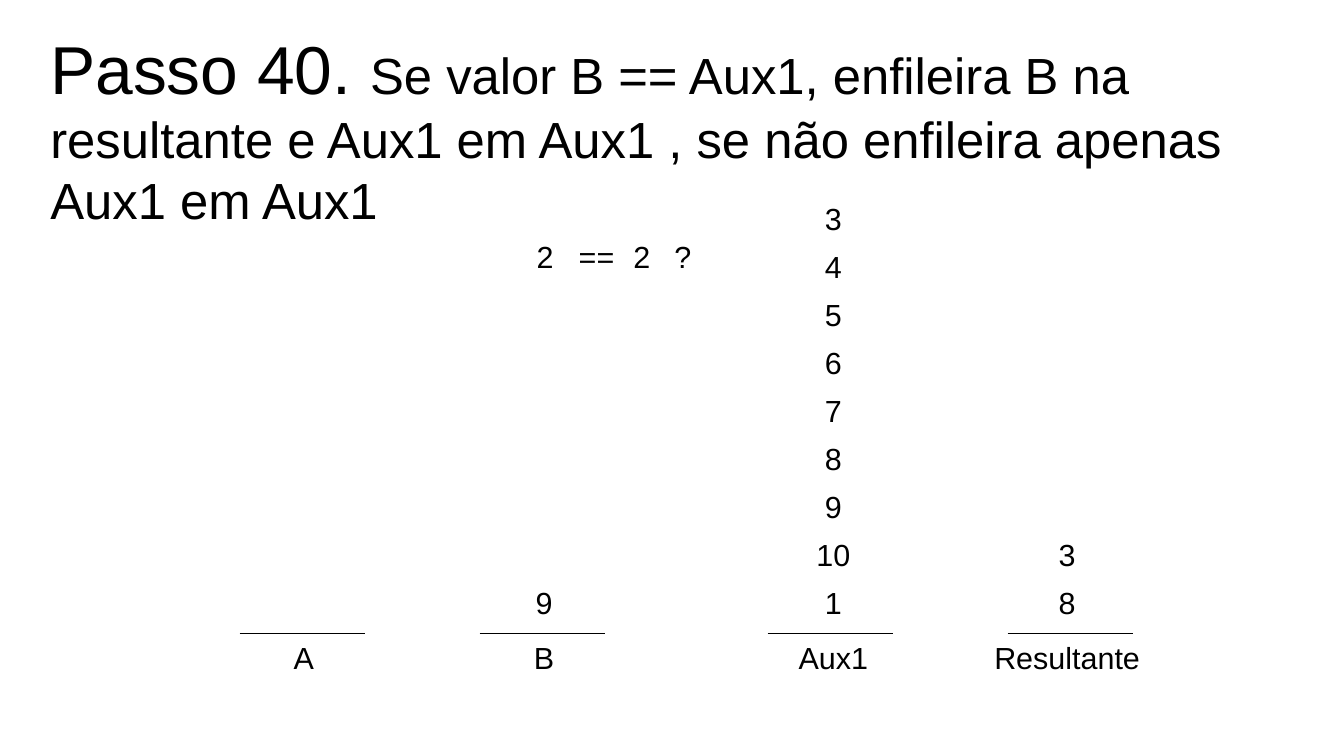
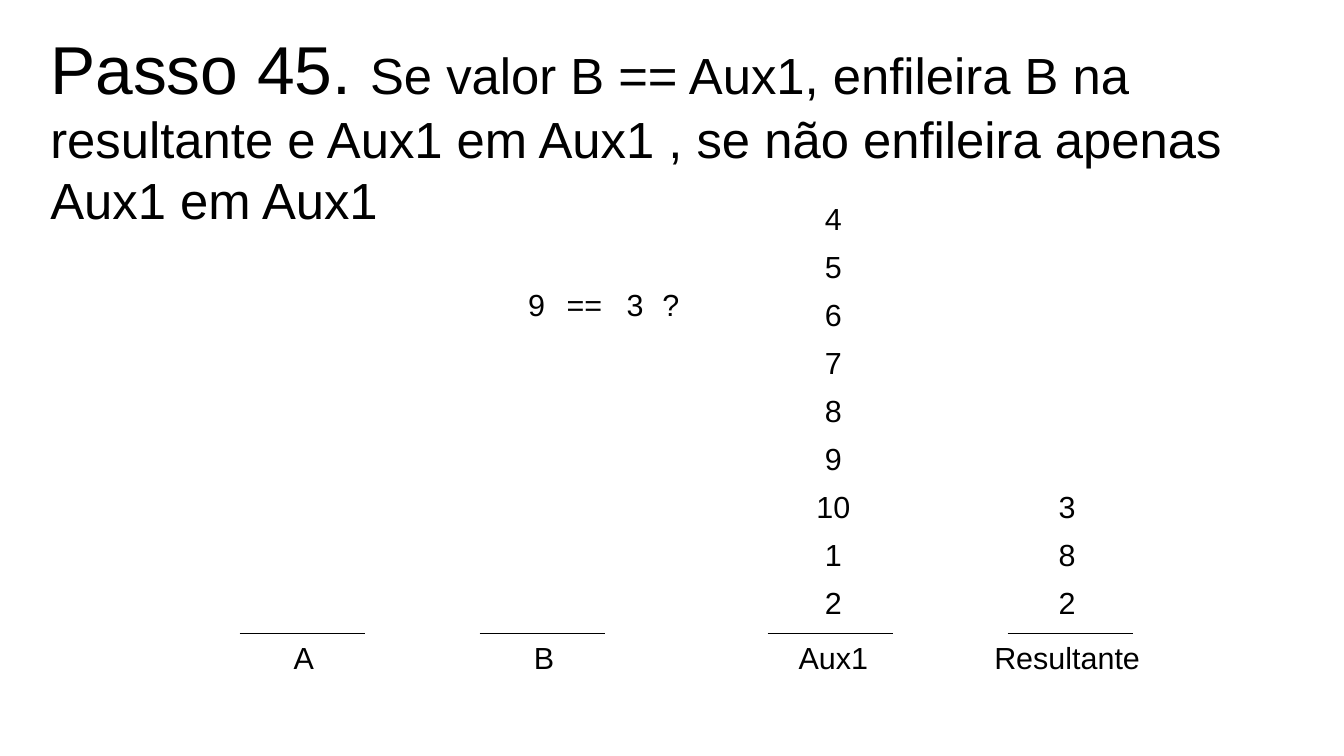
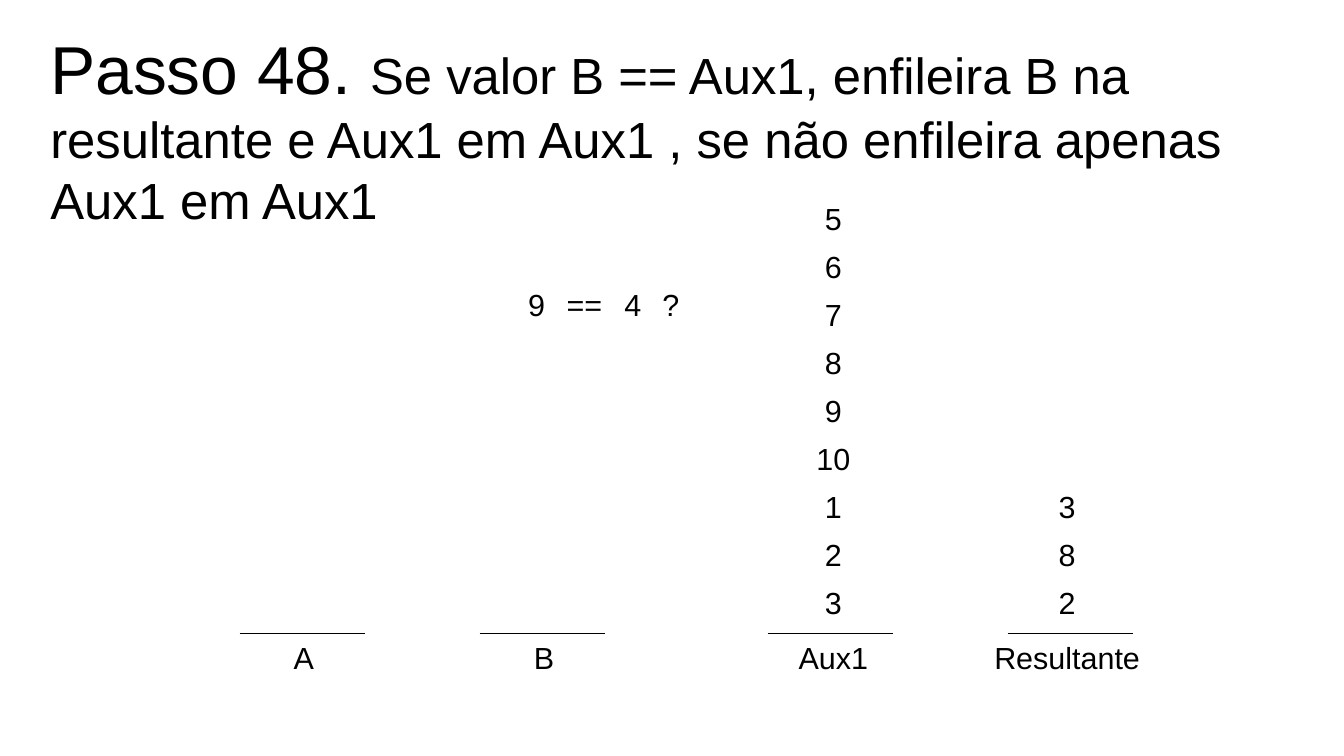
from collections import namedtuple

from lxml.etree import SubElement
from pptx import Presentation
from pptx.dml.color import RGBColor
from pptx.enum.shapes import MSO_CONNECTOR
from pptx.enum.text import MSO_ANCHOR, MSO_AUTO_SIZE, PP_ALIGN
from pptx.oxml.ns import qn
from pptx.util import Pt

# Shared style
COLORS = {"ink": "000000", "paper": "FFFFFF"}
FONT = "Arial"
RULE = ("Se valor B == Aux1, enfileira B na resultante e Aux1 em Aux1 , "
        "se não enfileira apenas Aux1 em Aux1")

Box = namedtuple("Box", "x y w h")
SLIDE = Box(0, 0, 793.44, 446.4)
TITLE = Box(22.5, 12.2, 748, 118.8)
ITEM_H = 27.4
ROW_STEP = 28.35

# Queue areas: the base line is the bottom edge; center is the text axis
Queue = namedtuple("Queue", "box center label_w")
QUEUE_TOP, QUEUE_H, QUEUE_W = 114.5, 259.5, 74
QUEUES = {
    name: Queue(Box(x, QUEUE_TOP, QUEUE_W, QUEUE_H), center, label_w)
    for name, x, center, label_w in [
        ("A", 141.4, 38, 30),
        ("B", 283.2, 38, 30),
        ("Aux1", 453.2, 38.8, 60),
        ("Resultante", 594.8, 35.2, 106),
    ]
}

# Steps: queue contents run from top to bottom;
# the comparison is its position and (token, center offset) pairs
STEPS = [
    dict(number=40,
         queues={"B": [9], "Aux1": [3, 4, 5, 6, 7, 8, 9, 10, 1],
                 "Resultante": [3, 8]},
         at=(321.8, 136.8),
         tokens=[("2", 0), ("==", 30.4), ("2", 57.2), ("?", 81.3)]),
    dict(number=45,
         queues={"Aux1": [4, 5, 6, 7, 8, 9, 10, 1, 2],
                 "Resultante": [3, 8, 2]},
         at=(316.8, 165.6),
         tokens=[("9", 0), ("==", 28.2), ("3", 58.2), ("?", 79.2)]),
    dict(number=48,
         queues={"Aux1": [5, 6, 7, 8, 9, 10, 1, 2, 3],
                 "Resultante": [3, 8, 2]},
         at=(316.8, 165.6),
         tokens=[("9", 0), ("==", 28.2), ("4", 56.8), ("?", 79.2)]),
]


def add_run(p, text, size):
    r = p.add_run()
    r.text = text
    r.font.name = FONT
    r.font.size = Pt(size)
    r.font.color.rgb = RGBColor.from_string(COLORS["ink"])


def add_item(s, text, center, top, width=None):
    """Short centred text around a vertical axis."""
    width = width or 14.4 + 11 * len(text)
    sp = s.shapes.add_textbox(Pt(center - width / 2), Pt(top), Pt(width), Pt(ITEM_H))
    tf = sp.text_frame
    tf.word_wrap = False
    tf.auto_size = MSO_AUTO_SIZE.SHAPE_TO_FIT_TEXT
    p = tf.paragraphs[0]
    p.alignment = PP_ALIGN.CENTER
    add_run(p, text, 18)


def add_title(s, box, number):
    sp = s.shapes.title
    sp.left, sp.top, sp.width, sp.height = map(Pt, box)
    tf = sp.text_frame
    tf.word_wrap = True
    tf.auto_size = MSO_AUTO_SIZE.NONE
    tf.vertical_anchor = MSO_ANCHOR.TOP
    p = tf.paragraphs[0]
    p.alignment = PP_ALIGN.LEFT
    add_run(p, f"Passo {number}. ", 40)
    add_run(p, RULE, 30)


def add_queue(s, queue, name, values):
    box = queue.box
    base = box.y + box.h
    center = box.x + queue.center
    # Base line and label
    line = s.shapes.add_connector(MSO_CONNECTOR.STRAIGHT, Pt(box.x), Pt(base),
                                  Pt(box.x + box.w), Pt(base))
    line.line.color.rgb = RGBColor.from_string(COLORS["ink"])
    line.line.width = Pt(0.1)
    SubElement(line._element.spPr, qn("a:effectLst"))
    add_item(s, name, center, base, queue.label_w)
    # Values stacked upwards from the base line
    for row, value in enumerate(reversed(values), start=1):
        add_item(s, str(value), center, base - 4.35 - row * ROW_STEP)


def add_comparison(s, at, tokens):
    x, y = at
    for text, offset in tokens:
        add_item(s, text, x + offset, y)


def add_step(prs, step):
    s = prs.slides.add_slide(prs.slide_layouts[5])
    s.background.fill.solid()
    s.background.fill.fore_color.rgb = RGBColor.from_string(COLORS["paper"])
    add_title(s, TITLE, step["number"])
    for name, queue in QUEUES.items():
        add_queue(s, queue, name, step["queues"].get(name, []))
    add_comparison(s, step["at"], step["tokens"])


def main():
    prs = Presentation()
    prs.slide_width, prs.slide_height = Pt(SLIDE.w), Pt(SLIDE.h)
    for step in STEPS:
        add_step(prs, step)
    prs.save("out.pptx")


if __name__ == "__main__":
    main()
